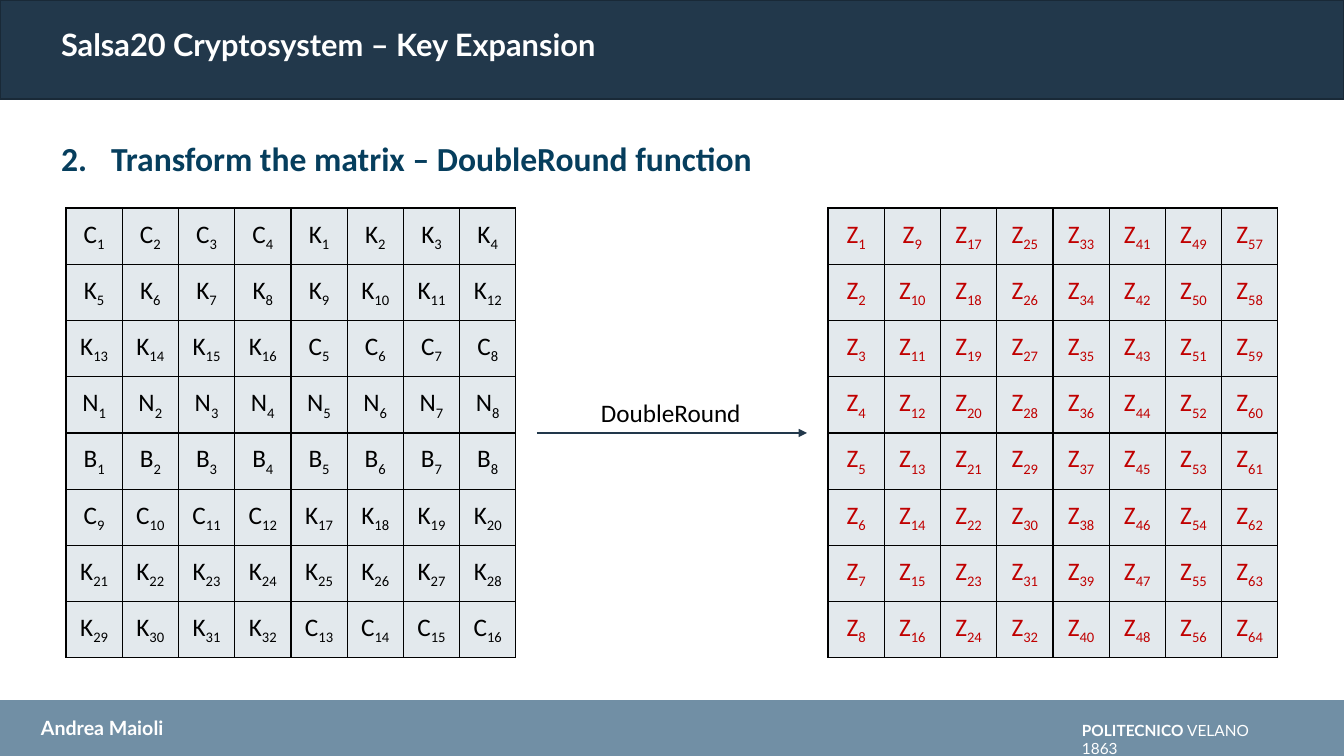
from dataclasses import dataclass

from lxml import etree
from pptx import Presentation
from pptx.dml.color import RGBColor
from pptx.enum.shapes import MSO_CONNECTOR, MSO_SHAPE
from pptx.enum.text import MSO_ANCHOR, MSO_AUTO_SIZE, PP_ALIGN
from pptx.oxml.ns import qn
from pptx.util import Emu, Pt

RECT = MSO_SHAPE.RECTANGLE
LINE = MSO_CONNECTOR.STRAIGHT
TOP, MIDDLE = MSO_ANCHOR.TOP, MSO_ANCHOR.MIDDLE
FIXED = MSO_AUTO_SIZE.NONE
CENTER = PP_ALIGN.CENTER

SCALE = 914400 / 100.8  # EMU in one px
WIDE, HIGH = 1344, 756
SIZE = 8  # rows and columns of a matrix


@dataclass(frozen=True)
class Theme:
    navy: str = "22384B"
    edge: str = "192937"
    steel: str = "718FA5"
    cell: str = "E3E9ED"
    white: str = "FFFFFF"
    black: str = "000000"
    blue: str = "063E5D"
    red: str = "C00000"
    head: str = "Lato"
    body: str = "Calibri"
    title: int = 22
    step: int = 24
    text: int = 18
    name: int = 14
    small: int = 11


THEME = Theme()

# Letter, first index, last index, in reading order
START = [("C", 1, 4), ("K", 1, 16), ("C", 5, 8), ("N", 1, 8),
         ("B", 1, 8), ("C", 9, 12), ("K", 17, 32), ("C", 13, 16)]


def px(n):
    return Emu(round(n * SCALE))


def rgb(color):
    return RGBColor.from_string(color)


def style(para, face, size, color, bold=None):
    font = para.font
    font.name, font.size, font.bold = face, Pt(size), bold
    font.color.rgb = rgb(color)


def place(shape, box):
    shape.left, shape.top, shape.width, shape.height = map(px, box)
    frame = shape.text_frame
    frame.auto_size = FIXED
    frame.word_wrap = True
    frame.vertical_anchor = TOP
    return frame.paragraphs[0]


def label(slide, box):
    return place(slide.shapes.add_textbox(0, 0, 0, 0), box)


def band(slide, box, fill, edge=None):
    shape = slide.shapes.add_shape(RECT, *map(px, box))
    shape.shadow.inherit = False
    shape.fill.solid()
    shape.fill.fore_color.rgb = rgb(fill)
    if edge:
        shape.line.color.rgb = rgb(edge)
        shape.line.width = Pt(1)
    else:
        shape.line.fill.background()
    # Send behind the placeholders
    slide.shapes._spTree.insert(2, shape._element)


def header(slide, box, text):
    left, top, wide, high = box
    band(slide, box, THEME.navy, THEME.edge)
    para = place(slide.shapes.title, (left + 51, top + 25, 620, 36))
    para.text = text
    para.alignment = PP_ALIGN.LEFT
    para.line_spacing = 0.9
    style(para, THEME.head, THEME.title, THEME.white, True)


def footer(slide, box, author, school, rest):
    left, top, wide, high = box
    band(slide, box, THEME.steel)
    para = label(slide, (left + 31, top + 11, 308, 34))
    para.text = author
    style(para, THEME.head, THEME.name, THEME.white, True)
    para = label(slide, (left + wide - 272, top + 16, 221, 29))
    style(para, THEME.head, THEME.small, THEME.white)
    run = para.add_run()
    run.text = school
    run.font.bold = True
    para.add_run().text = rest


def step(slide, box, text, number):
    para = place(slide.placeholders[1], box)
    para.text = text
    para.space_before = Pt(0)
    style(para, THEME.body, THEME.step, THEME.blue, True)
    # Numbered bullet with a hanging indent
    props = para._p.get_or_add_pPr()
    props.set("marL", str(px(50)))
    props.set("indent", str(-px(50)))
    etree.SubElement(props, qn("a:buFont"), typeface="+mj-lt")
    etree.SubElement(props, qn("a:buAutoNum"), type="arabicPeriod",
                     startAt=str(number))


def border(cell):
    props = cell._tc.get_or_add_tcPr()
    for side in ("lnL", "lnR", "lnT", "lnB"):
        line = etree.SubElement(props, qn("a:" + side), w=str(Pt(1)))
        fill = etree.SubElement(line, qn("a:solidFill"))
        etree.SubElement(fill, qn("a:srgbClr"), val=THEME.black)


def matrix(slide, box, items, color):
    table = slide.shapes.add_table(SIZE, SIZE, *map(px, box)).table
    table.first_row = table.horz_banding = False
    for col in table.columns:
        col.width = px(box[2] / SIZE)
    for row in table.rows:
        row.height = px(box[3] / SIZE)
    for cell, (letter, index) in zip(table.iter_cells(), items):
        border(cell)
        cell.fill.solid()
        cell.fill.fore_color.rgb = rgb(THEME.cell)
        cell.vertical_anchor = MIDDLE
        para = cell.text_frame.paragraphs[0]
        para.alignment = CENTER
        style(para, THEME.body, THEME.text, color)
        para.add_run().text = letter
        sub = para.add_run()
        sub.text = str(index)
        sub.font._element.set("baseline", "-25000")


def arrow(slide, box, text):
    left, top, wide, high = box
    base = top + high
    line = slide.shapes.add_connector(
        LINE, *map(px, (left, base, left + wide, base)))
    line.line.color.rgb = rgb(THEME.navy)
    line.line.width = Pt(2)
    etree.SubElement(line.line._get_or_add_ln(), qn("a:tailEnd"),
                     type="triangle")
    etree.SubElement(line._element.spPr, qn("a:effectLst"))
    para = label(slide, (left + (wide - 162) // 2, top, 162, high))
    para.text = text
    style(para, THEME.body, THEME.text, THEME.black)


def main():
    deck = Presentation()
    deck.slide_width, deck.slide_height = px(WIDE), px(HIGH)
    slide = deck.slides.add_slide(deck.slide_layouts[1])

    # Bands and headings
    header(slide, (0, 0, WIDE, 99), "Salsa20 Cryptosystem – Key Expansion")
    footer(slide, (0, 700, WIDE, 56), "Andrea Maioli",
           "POLITECNICO", " VELANO 1863")
    step(slide, (51, 133, 1217, 50),
         "Transform the matrix – DoubleRound function", 2)

    # Matrices before and after; the second is numbered by column
    before = [(letter, n) for letter, first, last in START
              for n in range(first, last + 1)]
    after = [("Z", row + SIZE * col + 1)
             for row in range(SIZE) for col in range(SIZE)]
    matrix(slide, (828, 208, 450, 450), after, THEME.red)
    matrix(slide, (66, 208, 450, 450), before, THEME.black)
    arrow(slide, (537, 392, 270, 41), "DoubleRound")

    deck.save("out.pptx")


if __name__ == "__main__":
    main()
